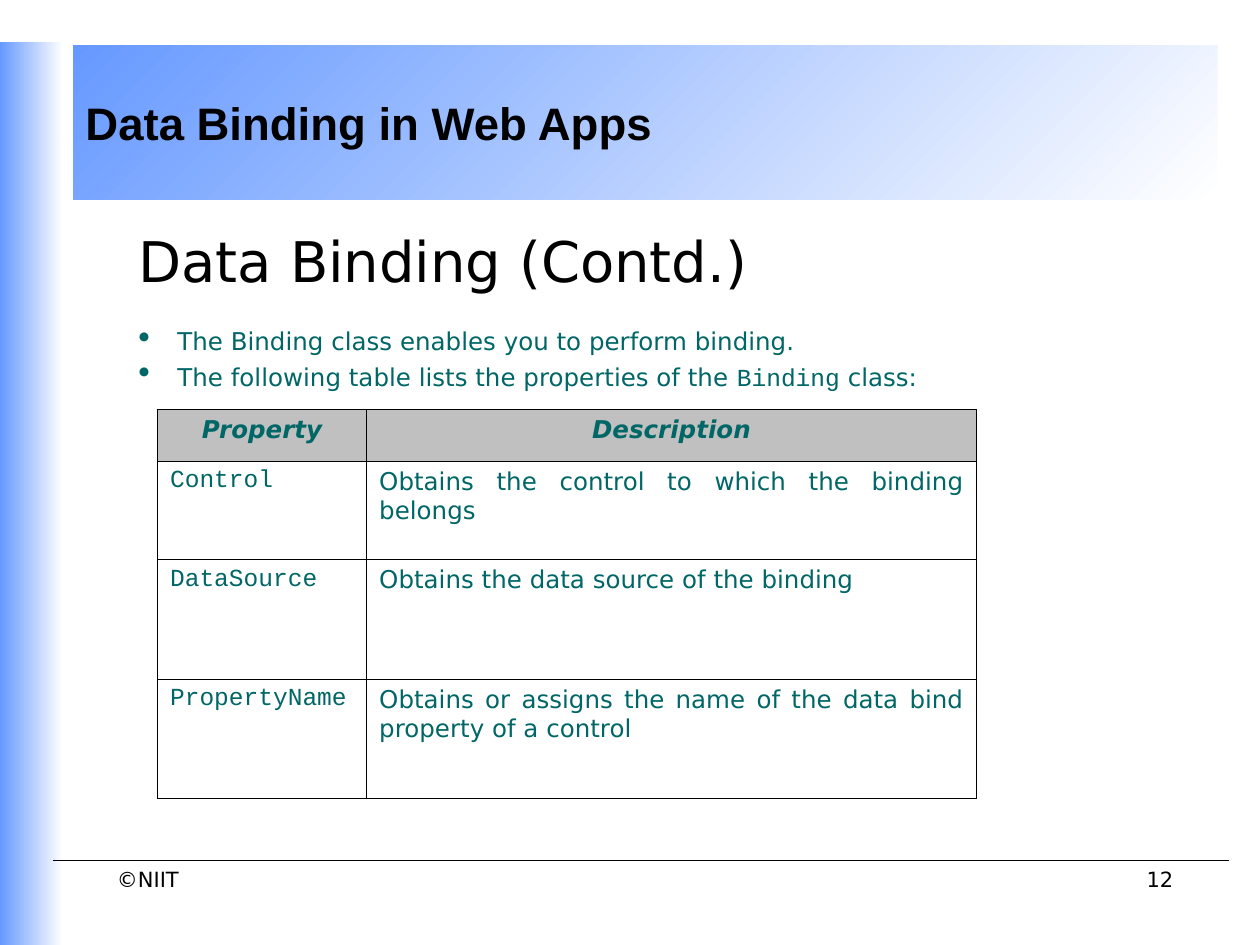
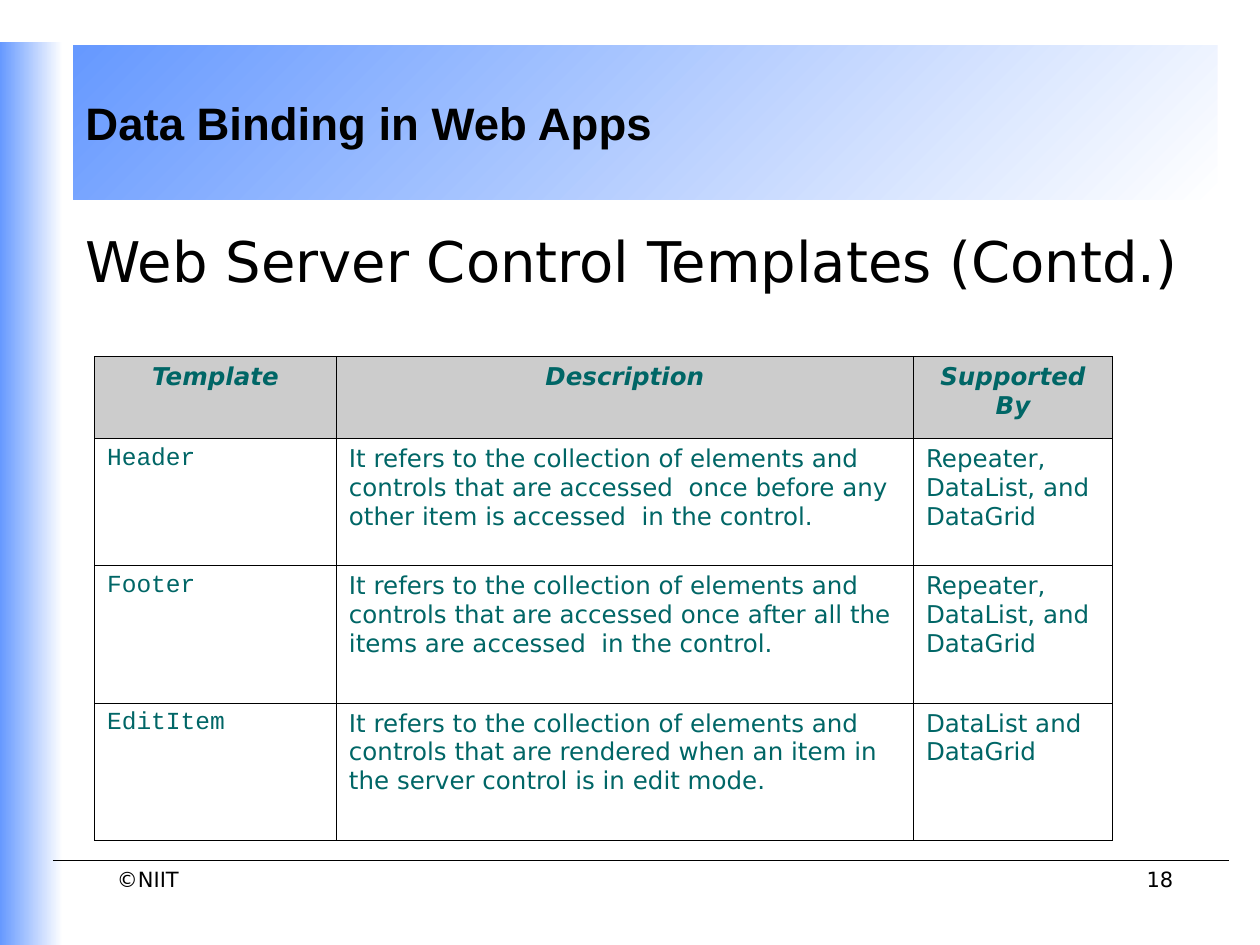
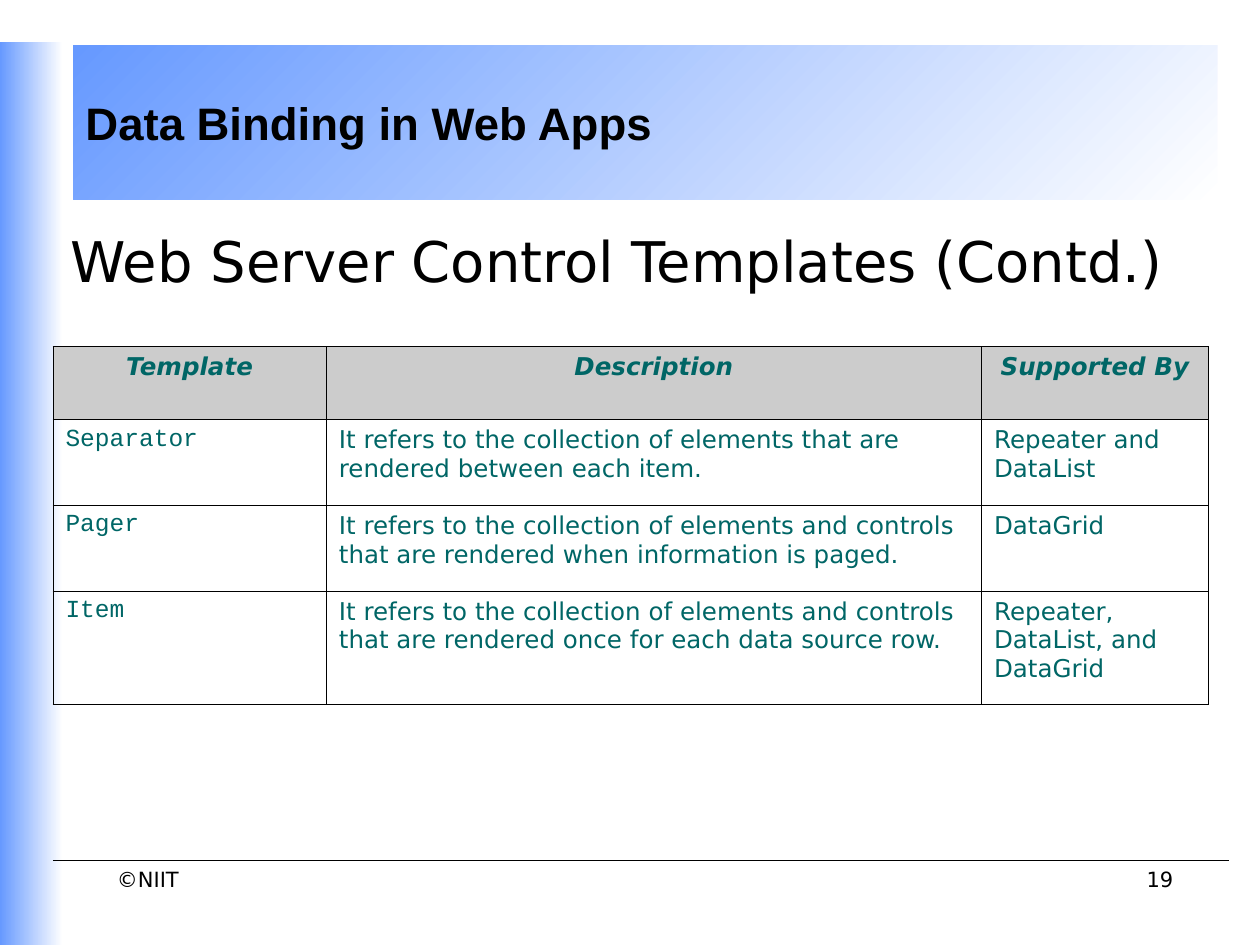
from lxml.etree import SubElement
from pptx import Presentation
from pptx.dml.color import RGBColor
from pptx.enum.shapes import MSO_CONNECTOR, MSO_SHAPE
from pptx.enum.text import MSO_ANCHOR, MSO_AUTO_SIZE, PP_ALIGN
from pptx.oxml.ns import qn
from pptx.util import Inches, Pt

BLACK = RGBColor(0x00, 0x00, 0x00)
WHITE = RGBColor(0xFF, 0xFF, 0xFF)
BLUE = RGBColor(0x66, 0x99, 0xFF)
TEAL = RGBColor(0x00, 0x66, 0x66)
SILVER = RGBColor(0xC0, 0xC0, 0xC0)
LIGHT_GREY = RGBColor(0xCC, 0xCC, 0xCC)

SANS, MONO, HEADING = "DejaVu Sans", "Courier New", "Arial"

COURSE = "Data Binding in Web Apps"
COPYRIGHT = "©NIIT"
TEMPLATE_HEADER = ("Template", "Description", "Supported By")

# Boxes are (left, top, width, height) in inches.
SLIDES = [
    {
        "number": 12,
        "title": "Data Binding (Contd.)",
        "title_box": (1, 1.75, 8.08, 0.75),
        "bullets": [
            [("The Binding class enables you to perform binding.", SANS)],
            [("The following table lists the properties of the ", SANS),
             ("Binding", MONO), (" class:", SANS)],
        ],
        "table_at": (1.25, 3.25),
        "columns": (1.66, 4.84),
        "rows": (0.41, 0.78, 0.95, 0.95),
        "header_fill": SILVER,
        "align": PP_ALIGN.JUSTIFY,
        "cells": [
            ("Property", "Description"),
            ("Control", "Obtains the control to which the binding belongs"),
            ("DataSource", "Obtains the data source of the binding"),
            ("PropertyName", "Obtains or assigns the name of the data bind "
                             "property of a control"),
        ],
    },
    {
        "number": 18,
        "title": "Web Server Control Templates (Contd.)",
        "title_box": (0.58, 1.75, 9.17, 0.75),
        "bullets": [],
        "table_at": (0.75, 2.83),
        "columns": (1.92, 4.58, 1.58),
        "rows": (0.65, 1.01, 1.09, 1.09),
        "header_fill": LIGHT_GREY,
        "align": PP_ALIGN.LEFT,
        "cells": [
            TEMPLATE_HEADER,
            ("Header", "It refers to the collection of elements and controls that are "
                       "accessed  once before any other item is accessed  in the control.",
             "Repeater, DataList, and DataGrid"),
            ("Footer", "It refers to the collection of elements and controls that are "
                       "accessed once after all the items are accessed  in the control.",
             "Repeater, DataList, and DataGrid"),
            ("EditItem", "It refers to the collection of elements and controls that are "
                         "rendered when an item in the server control is in edit mode.",
             "DataList and DataGrid"),
        ],
    },
    {
        "number": 19,
        "title": "Web Server Control Templates (Contd.)",
        "title_box": (0.46, 1.75, 9.33, 0.83),
        "bullets": [],
        "table_at": (0.42, 2.75),
        "columns": (2.17, 5.2, 1.8),
        "rows": (0.58, 0.68, 0.68, 0.9),
        "header_fill": LIGHT_GREY,
        "align": PP_ALIGN.LEFT,
        "cells": [
            TEMPLATE_HEADER,
            ("Separator", "It refers to the collection of elements that are rendered "
                          "between each item.",
             "Repeater and DataList"),
            ("Pager", "It refers to the collection of elements and controls that are "
                      "rendered when information is paged.",
             "DataGrid"),
            ("Item", "It refers to the collection of elements and controls that are "
                     "rendered once for each data source row.",
             "Repeater, DataList, and DataGrid"),
        ],
    },
]


def inches(values):
    return [Inches(value) for value in values]


def add_run(paragraph, text, size, color=BLACK, font=SANS, bold=False, italic=False):
    run = paragraph.add_run()
    run.text = text
    run.font.size = Pt(size)
    run.font.name = font
    run.font.color.rgb = color
    run.font.bold = bold
    run.font.italic = italic


def add_text_box(slide, box):
    frame = slide.shapes.add_textbox(*inches(box)).text_frame
    frame.word_wrap = True
    return frame


def add_gradient_band(slide, box, angle):
    """Add a white-to-blue rectangle; the angle runs counter-clockwise."""
    band = slide.shapes.add_shape(MSO_SHAPE.RECTANGLE, *inches(box))
    band.shadow.inherit = False
    band.line.fill.background()
    band.fill.gradient()
    band.fill.gradient_angle = angle
    for stop, color in zip(band.fill.gradient_stops, (WHITE, BLUE)):
        stop.color.rgb = color
    return band


def add_frame(slide, number):
    """Add the bands, rule, copyright and page number that every slide has."""
    course = add_gradient_band(slide, (0.58, 0.36, 9.08, 1.22), 135).text_frame
    course.vertical_anchor = MSO_ANCHOR.MIDDLE
    course.paragraphs[0].alignment = PP_ALIGN.LEFT
    add_run(course.paragraphs[0], COURSE, 26, font=HEADING, bold=True)
    add_gradient_band(slide, (0, 0.33, 0.5, 7.17), 180)

    rule = slide.shapes.add_connector(MSO_CONNECTOR.STRAIGHT,
                                      *inches((0.42, 6.83, 9.75, 6.83)))
    rule.line.color.rgb = BLACK
    rule.line.width = Pt(0.75)
    SubElement(rule._element.spPr, qn("a:effectLst"))

    copyright_line = add_text_box(slide, (0.83, 6.83, 2.25, 0.42)).paragraphs[0]
    add_run(copyright_line, COPYRIGHT, 12)
    page = add_text_box(slide, (6.83, 6.83, 2.58, 0.67)).paragraphs[0]
    page.alignment = PP_ALIGN.RIGHT
    add_run(page, str(number), 12)


def set_title(slide, text, box):
    title = slide.shapes.title
    title.left, title.top, title.width, title.height = inches(box)
    frame = title.text_frame
    frame.auto_size = MSO_AUTO_SIZE.NONE
    frame.vertical_anchor = MSO_ANCHOR.TOP
    frame.paragraphs[0].alignment = PP_ALIGN.LEFT
    add_run(frame.paragraphs[0], text, 32)


def set_bullet(paragraph):
    properties = paragraph._p.get_or_add_pPr()
    properties.set("marL", str(Inches(0.31)))
    properties.set("indent", str(-Inches(0.31)))
    color = SubElement(properties, qn("a:buClr"))
    SubElement(color, qn("a:srgbClr"), val=str(TEAL))
    SubElement(properties, qn("a:buSzPct"), val="140000")
    SubElement(properties, qn("a:buChar"), char="•")


def add_bullets(slide, bullets):
    frame = add_text_box(slide, (1, 2.54, 8.08, 0.65))
    for index, runs in enumerate(bullets):
        paragraph = frame.add_paragraph() if index else frame.paragraphs[0]
        set_bullet(paragraph)
        if index:
            paragraph.space_before = Pt(3.5)
        for text, font in runs:
            add_run(paragraph, text, 14, TEAL, font)


def set_borders(cell):
    properties = cell._tc.get_or_add_tcPr()
    for side in ("a:lnL", "a:lnR", "a:lnT", "a:lnB"):
        border = SubElement(properties, qn(side), w=str(Pt(0.45)))
        fill = SubElement(border, qn("a:solidFill"))
        SubElement(fill, qn("a:srgbClr"), val=str(BLACK))


def add_property_table(slide, content):
    columns, rows = content["columns"], content["rows"]
    box = (*content["table_at"], sum(columns), sum(rows))
    table = slide.shapes.add_table(len(rows), len(columns), *inches(box)).table
    table.horz_banding = False
    for column, width in zip(table.columns, columns):
        column.width = Inches(width)
    for row, height in zip(table.rows, rows):
        row.height = Inches(height)

    for r, texts in enumerate(content["cells"]):
        for c, text in enumerate(texts):
            cell = table.cell(r, c)
            header = r == 0
            set_borders(cell)
            if header:
                cell.fill.solid()
                cell.fill.fore_color.rgb = content["header_fill"]
            else:
                cell.fill.background()
            paragraph = cell.text_frame.paragraphs[0]
            paragraph.alignment = PP_ALIGN.CENTER if header else content["align"]
            font = MONO if c == 0 and not header else SANS
            add_run(paragraph, text, 14, TEAL, font, bold=header, italic=header)


def main():
    deck = Presentation()
    deck.slide_width, deck.slide_height = Inches(10), Inches(7.5)
    title_only = deck.slide_layouts[5]
    for content in SLIDES:
        slide = deck.slides.add_slide(title_only)
        add_frame(slide, content["number"])
        set_title(slide, content["title"], content["title_box"])
        if content["bullets"]:
            add_bullets(slide, content["bullets"])
        add_property_table(slide, content)
    deck.save("out.pptx")


if __name__ == "__main__":
    main()
